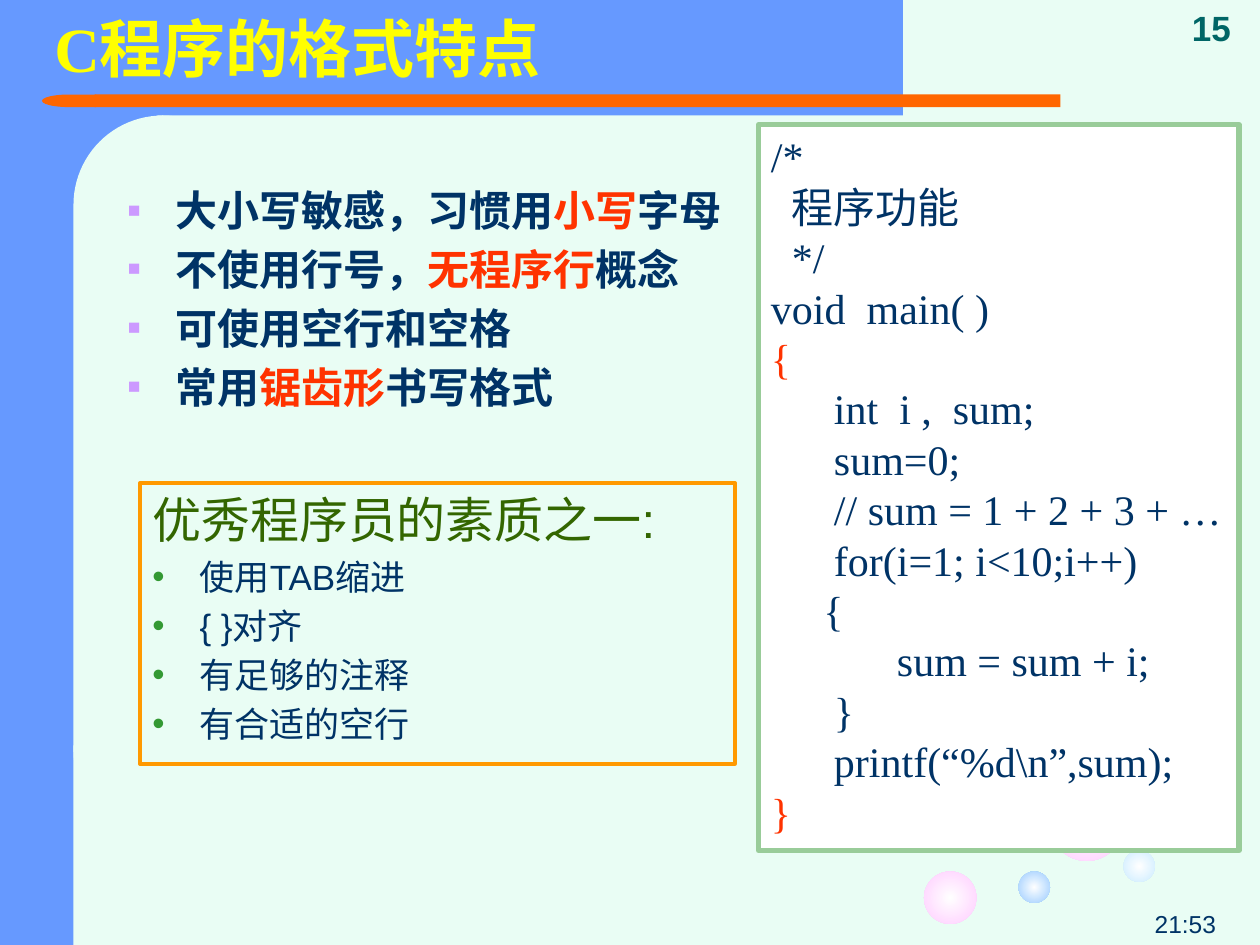
import lxml.etree
import pptx
import pptx.dml.color
import pptx.enum.shapes
import pptx.enum.text
import pptx.oxml.ns
import pptx.util

Pt = pptx.util.Pt
RGBColor = pptx.dml.color.RGBColor
SHAPE = pptx.enum.shapes.MSO_SHAPE
ANCHOR = pptx.enum.text.MSO_ANCHOR
ALIGN = pptx.enum.text.PP_ALIGN

MINT = RGBColor(0xE9, 0xFD, 0xF4)
BLUE = RGBColor(0x66, 0x99, 0xFF)
ORANGE = RGBColor(0xFF, 0x66, 0x00)
AMBER = RGBColor(0xFF, 0x99, 0x00)
YELLOW = RGBColor(0xFF, 0xFF, 0x00)
WHITE = RGBColor(0xFF, 0xFF, 0xFF)
NAVY = RGBColor(0x00, 0x33, 0x66)
TEAL = RGBColor(0x00, 0x66, 0x66)
RED = RGBColor(0xFF, 0x33, 0x00)
LILAC = RGBColor(0xCC, 0x99, 0xFF)
GREEN = RGBColor(0x33, 0x99, 0x33)
DARK_GREEN = RGBColor(0x33, 0x66, 0x00)
PALE_GREEN = RGBColor(0x99, 0xCC, 0x99)
PINK = RGBColor(0xFF, 0xCC, 0xFF)
ICE = RGBColor(0xCC, 0xEC, 0xFF)
SKY = RGBColor(0x99, 0xCC, 0xFF)

FRAME = [
    (SHAPE.RECTANGLE, (0, 0, 90, 540), BLUE),
    (SHAPE.RECTANGLE, (36, 0, 480, 66), BLUE),
    (SHAPE.ROUNDED_RECTANGLE, (42, 66, 102, 414), MINT),
    (SHAPE.RECTANGLE, (54, 54, 552, 7.2), ORANGE),
    (SHAPE.FLOWCHART_DELAY, (24, 54, 31, 7.2), ORANGE),
    (SHAPE.RECTANGLE, (42, 426, 102, 114), MINT),
]
BUBBLES = [
    (600, 450, 42, PINK),
    (528, 498, 30, PINK),
    (642, 486, 18, ICE),
    (582, 498, 18, SKY),
]
FEATURES = [
    [("大小写敏感，习惯用", NAVY), ("小写", RED), ("字母", NAVY)],
    [("不使用行号，", NAVY), ("无程序行", RED), ("概念", NAVY)],
    [("可使用空行和空格", NAVY)],
    [("常用", NAVY), ("锯齿形", RED), ("书写格式", NAVY)],
]
CODE = [
    (0, "/*", NAVY),
    (2, "程序功能", NAVY),
    (2, "*/", NAVY),
    (0, "void  main( )", NAVY),
    (0, "{", RED),
    (6, "int  i ,  sum;", NAVY),
    (6, "sum=0;", NAVY),
    (6, "// sum = 1 + 2 + 3 + …", NAVY),
    (6, "for(i=1; i<10;i++)", NAVY),
    (5, "{", NAVY),
    (12, "sum = sum + i;", NAVY),
    (6, "}", NAVY),
    (6, "printf(“%d\\n”,sum);", NAVY),
    (0, "}", RED),
]
HABITS_HEADING = "优秀程序员的素质之一:"
HABITS = ["使用TAB缩进", "{ }对齐", "有足够的注释", "有合适的空行"]

TITLE_FONT = {"name": "Times New Roman", "size": Pt(36), "bold": True}
FEATURE_FONT = {"name": "Cabin", "size": Pt(24), "bold": True}
CODE_FONT = {"name": "Times New Roman", "size": Pt(24)}
HEADING_FONT = {"name": "Arial", "size": Pt(28)}
HABIT_FONT = {"name": "Arial", "size": Pt(20)}
DATE_FONT = {"name": "Arial", "size": Pt(14)}
NUMBER_FONT = {"name": "Arial", "size": Pt(20), "bold": True}
CODE_SPACE = 6
HANGING = 27


def add_element(parent, tag, **attributes):
    element = lxml.etree.SubElement(parent, pptx.oxml.ns.qn(tag))
    for name, value in attributes.items():
        element.set(name, str(value))
    return element


def add_box(slide, kind, box, fill=None, line=None, width=0):
    shape = slide.shapes.add_shape(kind, *map(Pt, box))
    shape.shadow.inherit = False
    if fill is None:
        shape.fill.background()
    else:
        shape.fill.solid()
        shape.fill.fore_color.rgb = fill
    if line is None:
        shape.line.fill.background()
    else:
        shape.line.color.rgb = line
        shape.line.width = Pt(width)
    return shape


def add_bubble(slide, left, top, size, color):
    shape = add_box(slide, SHAPE.OVAL, (left, top, size, size), WHITE)
    shape.fill.gradient()
    for stop, stop_color in zip(shape.fill.gradient_stops, (WHITE, color)):
        stop.color.rgb = stop_color
    for stop, position in zip(shape.fill.gradient_stops, (0, 1)):
        stop.position = position
    gradient = shape.element.spPr.find(pptx.oxml.ns.qn("a:gradFill"))
    gradient.remove(gradient.find(pptx.oxml.ns.qn("a:lin")))
    direction = add_element(gradient, "a:path", path="circle")
    add_element(direction, "a:fillToRect", l=50000, t=50000, r=50000, b=50000)


def write(shape, paragraphs, anchor=ANCHOR.TOP):
    frame = shape.text_frame
    frame.word_wrap = True
    frame.vertical_anchor = anchor
    for index, (runs, font, layout) in enumerate(paragraphs):
        paragraph = frame.paragraphs[0] if index == 0 else frame.add_paragraph()
        paragraph.alignment = layout.get("alignment", ALIGN.LEFT)
        for name in ("space_before", "line_spacing"):
            if name in layout:
                setattr(paragraph, name, layout[name])
        properties = paragraph._p.get_or_add_pPr()
        properties.set("marL", str(Pt(layout.get("margin", 0))))
        properties.set("indent", str(Pt(layout.get("indent", 0))))
        if "bullet" in layout:
            character, color, percent = layout["bullet"]
            add_element(add_element(properties, "a:buClr"), "a:srgbClr", val=color)
            add_element(properties, "a:buSzPct", val=percent * 1000)
            add_element(properties, "a:buFont", typeface="Arial")
            add_element(properties, "a:buChar", char=character)
        for text, color in runs:
            run = paragraph.add_run()
            run.text = text
            run.font.color.rgb = color
            for name, value in font.items():
                setattr(run.font, name, value)


def add_text(slide, box, paragraphs, anchor=ANCHOR.TOP):
    write(slide.shapes.add_textbox(*map(Pt, box)), paragraphs, anchor)


def hanging(margin, size, **extra):
    return {"margin": margin, "indent": -HANGING, "space_before": Pt(size * 0.2), **extra}


def main():
    presentation = pptx.Presentation()
    presentation.slide_width, presentation.slide_height = Pt(720), Pt(540)
    slide = presentation.slides.add_slide(presentation.slide_layouts[6])
    slide.background.fill.solid()
    slide.background.fill.fore_color.rgb = MINT

    for kind, box, color in FRAME:
        shape = add_box(slide, kind, box, color)
        if kind == SHAPE.ROUNDED_RECTANGLE:
            shape.adjustments[0] = 0.5
        if kind == SHAPE.FLOWCHART_DELAY:
            shape.rotation = 180
    for bubble in BUBBLES:
        add_bubble(slide, *bubble)

    add_text(slide, (552, 516, 150, 24),
             [([("21:53", NAVY)], DATE_FONT, {"alignment": ALIGN.RIGHT})], ANCHOR.BOTTOM)
    add_text(slide, (674, 0, 46, 31), [([("15", TEAL)], NUMBER_FONT, {})], ANCHOR.BOTTOM)
    add_text(slide, (24, 0, 606, 60),
             [([("C程序的格式特点", YELLOW)], TITLE_FONT, {"line_spacing": 0.9})], ANCHOR.MIDDLE)

    feature_layout = hanging(99, 24, bullet=("■", LILAC, 50))
    add_text(slide, (-6, 102, 654, 174),
             [(runs, FEATURE_FONT, feature_layout) for runs in FEATURES])

    code_box = add_box(slide, SHAPE.RECTANGLE, (433.5, 71.3, 274.5, 414.7), WHITE, PALE_GREEN, 3)
    code_box.text_frame.margin_right = 0
    write(code_box, [([(text, color)], CODE_FONT, {"margin": spaces * CODE_SPACE})
                     for spaces, text, color in CODE])

    habits_box = add_box(slide, SHAPE.RECTANGLE, (80, 276, 340, 160.5), None, AMBER, 2.25)
    habit_layout = hanging(HANGING, 20, bullet=("•", GREEN, 100))
    write(habits_box, [([(HABITS_HEADING, DARK_GREEN)], HEADING_FONT, hanging(HANGING, 28))]
          + [([(text, NAVY)], HABIT_FONT, habit_layout) for text in HABITS])

    presentation.save("out.pptx")


if __name__ == "__main__":
    main()
